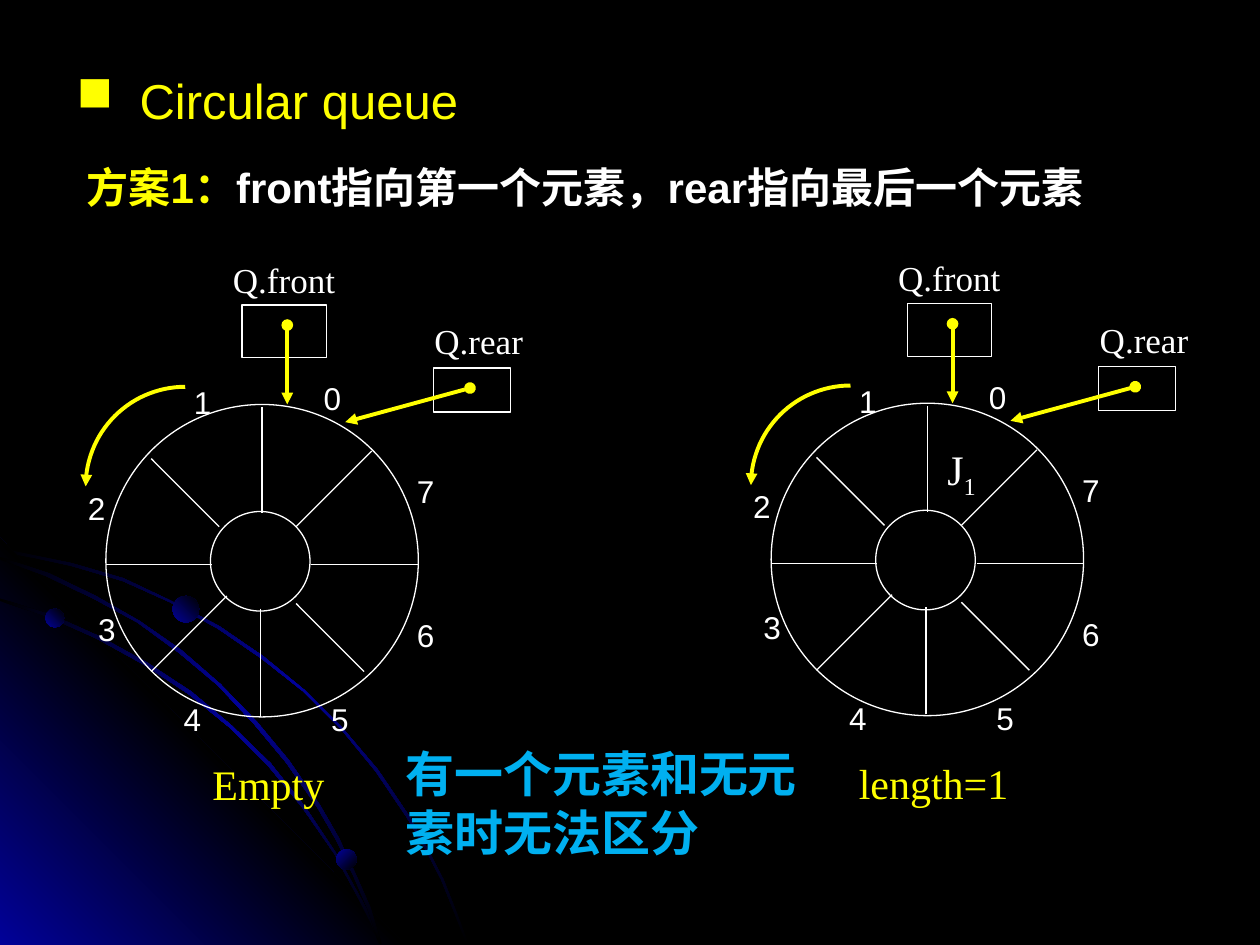
import math
from lxml import etree
from pptx import Presentation
from pptx import util as u
from pptx.dml import color
from pptx.enum import shapes, text
from pptx.oxml import ns

WHITE = color.RGBColor(255, 255, 255)
YELLOW = color.RGBColor(255, 255, 0)
SKY = color.RGBColor(0, 176, 240)
BLACK = color.RGBColor(0, 0, 0)
NAVY = color.RGBColor(1, 1, 153)

WIDE, HIGH = u.Inches(10), u.Inches(7.5)
COL = WIDE / 10
ROW = HIGH / 7.5

HEAD = {"name": "Arial", "size": u.Pt(28), "color": YELLOW}
LEAD = {"name": "Arial", "size": u.Pt(24), "color": YELLOW, "bold": True}
NOTE = {"name": "Arial", "size": u.Pt(28), "color": SKY, "bold": True}
MARK = {"name": "Arial", "size": u.Pt(18), "color": WHITE}
NAME = {"name": "Times New Roman", "size": u.Pt(20), "color": WHITE}
STATE = {"name": "Times New Roman", "size": u.Pt(24), "color": YELLOW}
ITEM = {**STATE, "color": WHITE}

BANDS = [
    [(0.57, 4.47), (0.28, 4.41), (0, 4.35), (0, 4.38), (0.28, 4.43), (0.56, 4.49),
     (0.97, 4.61), (1.35, 4.78), (1.73, 4.99), (2.08, 5.23), (2.41, 5.49),
     (2.71, 5.79), (2.98, 6.12), (3.23, 6.49), (3.37, 6.73), (3.5, 6.98),
     (3.6, 7.23), (3.7, 7.49), (3.72, 7.49), (3.62, 7.23), (3.52, 6.98),
     (3.39, 6.73), (3.25, 6.48), (3, 6.11), (2.72, 5.78), (2.42, 5.48),
     (2.09, 5.21), (1.74, 4.97), (1.36, 4.77), (0.98, 4.59)],
    [(2.85, 7.14), (2.94, 7.32), (3.01, 7.49), (3.03, 7.49), (2.96, 7.3),
     (2.86, 7.12), (2.66, 6.76), (2.42, 6.4), (2.15, 6.06), (1.84, 5.76),
     (1.52, 5.49), (1.17, 5.26), (0.79, 5.05), (0.41, 4.88), (0, 4.75), (0, 4.77),
     (0.39, 4.9), (0.77, 5.07), (1.15, 5.28), (1.5, 5.51), (1.83, 5.78),
     (2.13, 6.08), (2.4, 6.41), (2.65, 6.77)],
    [(0, 4.42), (0, 4.44), (0.36, 4.57), (0.74, 4.75), (1.09, 4.94), (1.42, 5.18),
     (1.73, 5.44), (2.02, 5.75), (2.27, 6.05), (2.52, 6.41), (2.67, 6.67),
     (2.8, 6.94), (2.92, 7.22), (3.01, 7.49), (3.03, 7.49), (2.94, 7.2),
     (2.82, 6.93), (2.69, 6.65), (2.54, 6.39), (2.29, 6.03), (2.04, 5.73),
     (1.75, 5.43), (1.44, 5.16), (1.11, 4.93), (0.76, 4.73), (0.39, 4.55)],
]
WEDGE = [(3.22, 7.5), (0, 7.5), (0, 4.27)]
BALLS = [(0.36, 4.83, 0.15, 315), (2.67, 6.74, 0.16, 45), (1.37, 4.73, 0.21, 315)]

SPOKES = [
    (2.08, 3.23, 2.08, 4.07), (2.07, 4.83, 2.07, 5.68),
    (0.84, 4.48, 1.68, 4.48), (2.47, 4.48, 3.32, 4.48),
    (2.95, 3.58, 2.35, 4.18), (1.8, 4.73, 1.2, 5.33),
    (1.2, 3.64, 1.74, 4.18), (2.35, 4.79, 2.89, 5.33),
]
ARROWS = [(2.28, 2.58, 2.28, 3.21), (3.73, 3.08, 2.74, 3.35)]
SLOTS = [(2.47, 2.96), (1.44, 2.99), (0.6, 3.83), (0.68, 4.79),
         (1.36, 5.51), (2.53, 5.51), (3.21, 4.84), (3.21, 3.7)]


def size(x, y, w, h):
    return [round(v) for v in (x * COL, y * ROW, w * COL, h * ROW)]


def style(font, form):
    for key, val in form.items():
        if key == "color":
            font.color.rgb = val
        else:
            setattr(font, key, val)


def label(page, box, runs, wrap=True, align=None, bullet=None):
    shape = page.shapes.add_textbox(*size(*box))
    frame = shape.text_frame
    frame.word_wrap = wrap
    frame.auto_size = text.MSO_AUTO_SIZE.SHAPE_TO_FIT_TEXT
    para = frame.paragraphs[0]
    para.alignment = align
    if bullet:
        props = para._p.get_or_add_pPr()
        props.set("marL", str(round(COL / 2)))
        props.set("indent", str(round(-COL / 2)))
        etree.SubElement(props, ns.qn("a:buChar"), char=bullet)
    for words, form in runs:
        run = para.add_run()
        run.text = words
        style(run.font, form)
    return para


def pen(shape, tint, width):
    shape.line.color.rgb = tint
    shape.line.width = u.Pt(width)


def tips(shape, **ends):
    line = shape.element.spPr.find(ns.qn("a:ln"))
    for end, kind in ends.items():
        etree.SubElement(line, ns.qn(f"a:{end}End"), type=kind)


def outline(page, kind, *box):
    shape = page.shapes.add_shape(kind, *size(*box))
    shape.shadow.inherit = False
    shape.fill.background()
    pen(shape, WHITE, 0.75)
    return shape


def line(page, ends, tint=WHITE, width=0.75):
    link = page.shapes.add_connector(shapes.MSO_CONNECTOR.STRAIGHT, *size(*ends))
    pen(link, tint, width)
    etree.SubElement(link.element.spPr, ns.qn("a:effectLst"))
    return link


def trace(page, points, close=True):
    spots = [(round(x * COL), round(y * ROW)) for x, y in points]
    path = page.shapes.build_freeform(*spots[0])
    path.add_line_segments(spots[1:], close=close)
    shape = path.convert_to_shape()
    shape.shadow.inherit = False
    return shape


def shade(shape, tints, angle):
    shape.line.fill.background()
    shape.fill.gradient()
    grad = shape.element.spPr.find(ns.qn("a:gradFill"))
    for part in list(grad):
        grad.remove(part)
    stops = etree.SubElement(grad, ns.qn("a:gsLst"))
    for i, tint in enumerate(tints):
        place = str(100000 * i // (len(tints) - 1))
        stop = etree.SubElement(stops, ns.qn("a:gs"), pos=place)
        etree.SubElement(stop, ns.qn("a:srgbClr"), val=str(tint))
    etree.SubElement(grad, ns.qn("a:lin"), ang=str(angle * 60000), scaled="0")


def scene(page):
    page.background.fill.solid()
    page.background.fill.fore_color.rgb = BLACK
    shade(trace(page, BANDS[0]), [BLACK, NAVY, BLACK], 45)
    shade(trace(page, WEDGE), [NAVY, BLACK, NAVY], 315)
    for band in BANDS[1:]:
        shade(trace(page, band), [BLACK, NAVY, BLACK], 45)
    for x, y, d, angle in BALLS:
        shade(outline(page, shapes.MSO_SHAPE.OVAL, x, y, d, d), [NAVY, BLACK], angle)


def queue(page, dx, dy, state, wide):
    rect, oval = shapes.MSO_SHAPE.RECTANGLE, shapes.MSO_SHAPE.OVAL
    label(page, (dx + 1.75, dy + 2, 1.01, 0.43), [("Q.front", NAME)], False)
    outline(page, rect, dx + 1.92, dy + 2.42, 0.67, 0.42)
    outline(page, oval, dx + 0.84, dy + 3.21, 2.48, 2.48)
    outline(page, oval, dx + 1.67, dy + 4.06, 0.79, 0.79)
    for a, b, c, d in SPOKES:
        line(page, (a + dx, b + dy, c + dx, d + dy))
    label(page, (dx + 3.35, dy + 2.49, 0.9, 0.43), [("Q.rear", NAME)], False)
    outline(page, rect, dx + 3.44, dy + 2.92, 0.61, 0.35)
    for a, b, c, d in ARROWS:
        link = line(page, (a + dx, b + dy, c + dx, d + dy), YELLOW, 2.25)
        tips(link, head="oval", tail="triangle")
    turns = [math.radians(3 * i) for i in range(31)]
    curve = [(dx + 1.47 - 0.79 * math.sin(t), dy + 3.86 - 0.79 * math.cos(t))
             for t in turns]
    arc = trace(page, curve, close=False)
    arc.fill.background()
    pen(arc, YELLOW, 2.25)
    tips(arc, tail="triangle")
    label(page, (dx + 2.13 - wide / 2, dy + 5.97, wide, 0.5), [(state, STATE)],
          False, text.PP_ALIGN.CENTER)
    for i, (x, y) in enumerate(SLOTS):
        label(page, (dx + x, dy + y, 0.23, 0.4), [(str(i), MARK)])


def main():
    deck = Presentation()
    deck.slide_width, deck.slide_height = WIDE, HIGH
    page = deck.slides.add_slide(deck.slide_layouts[6])
    scene(page)
    label(page, (0.51, 0.51, 3.39, 0.57), [("Circular queue", HEAD)], bullet="■")
    queue(page, 0, 0, "Empty", 1.09)
    queue(page, 5.28, -0.01, "length=1", 1.39)
    item = label(page, (7.42, 3.47, 0.44, 0.5), [("J", ITEM), ("1", ITEM)], False)
    item.runs[1].font._element.set("baseline", "-25000")
    label(page, (0.59, 1.23, 9.16, 0.5), [
        ("方案1：", LEAD),
        ("front指向第一个元素，rear指向最后一个元素", {**LEAD, "color": WHITE})])
    label(page, (3.12, 5.85, 3.63, 1.04), [("有一个元素和无元素时无法区分", NOTE)])
    deck.save("out.pptx")


if __name__ == "__main__":
    main()
